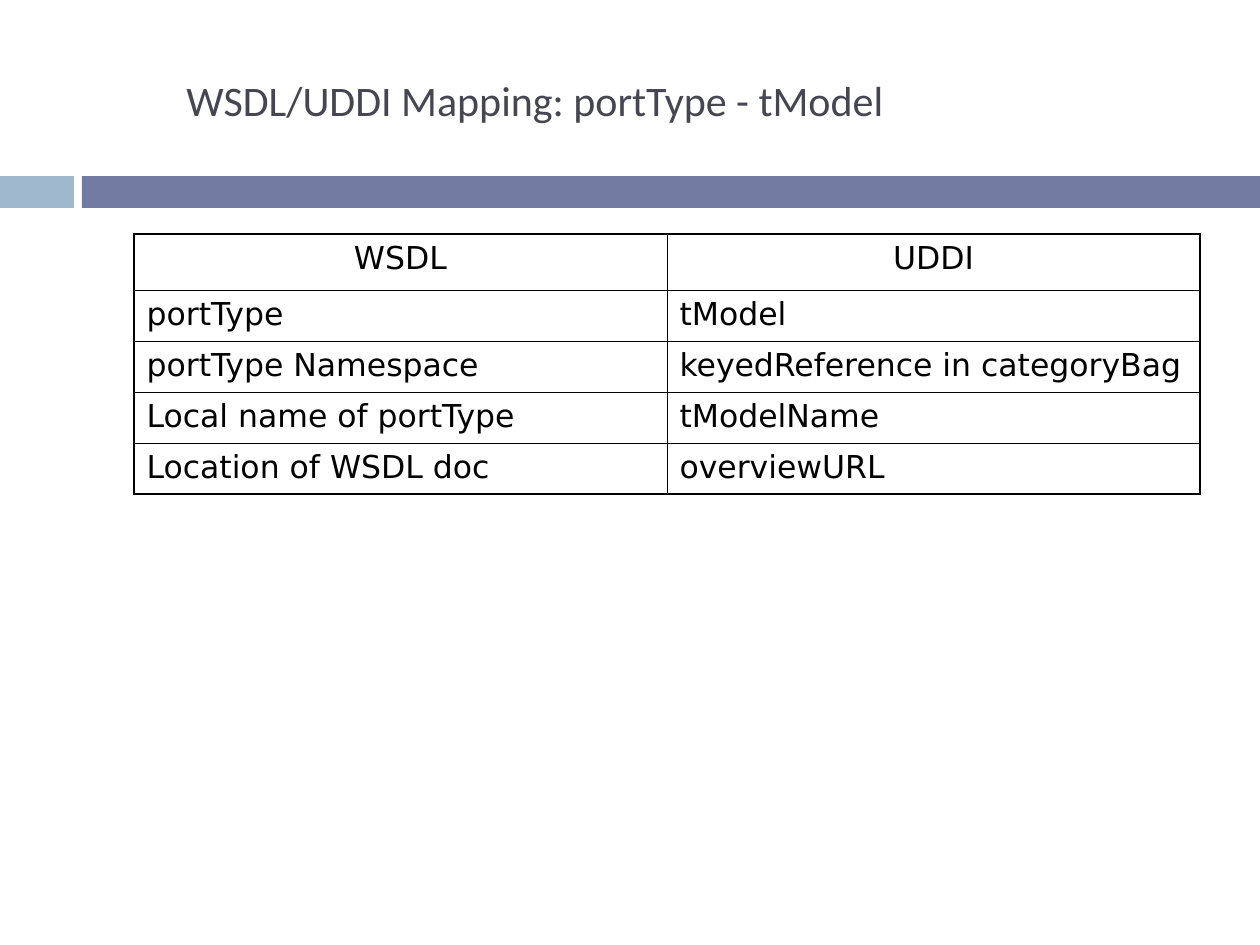
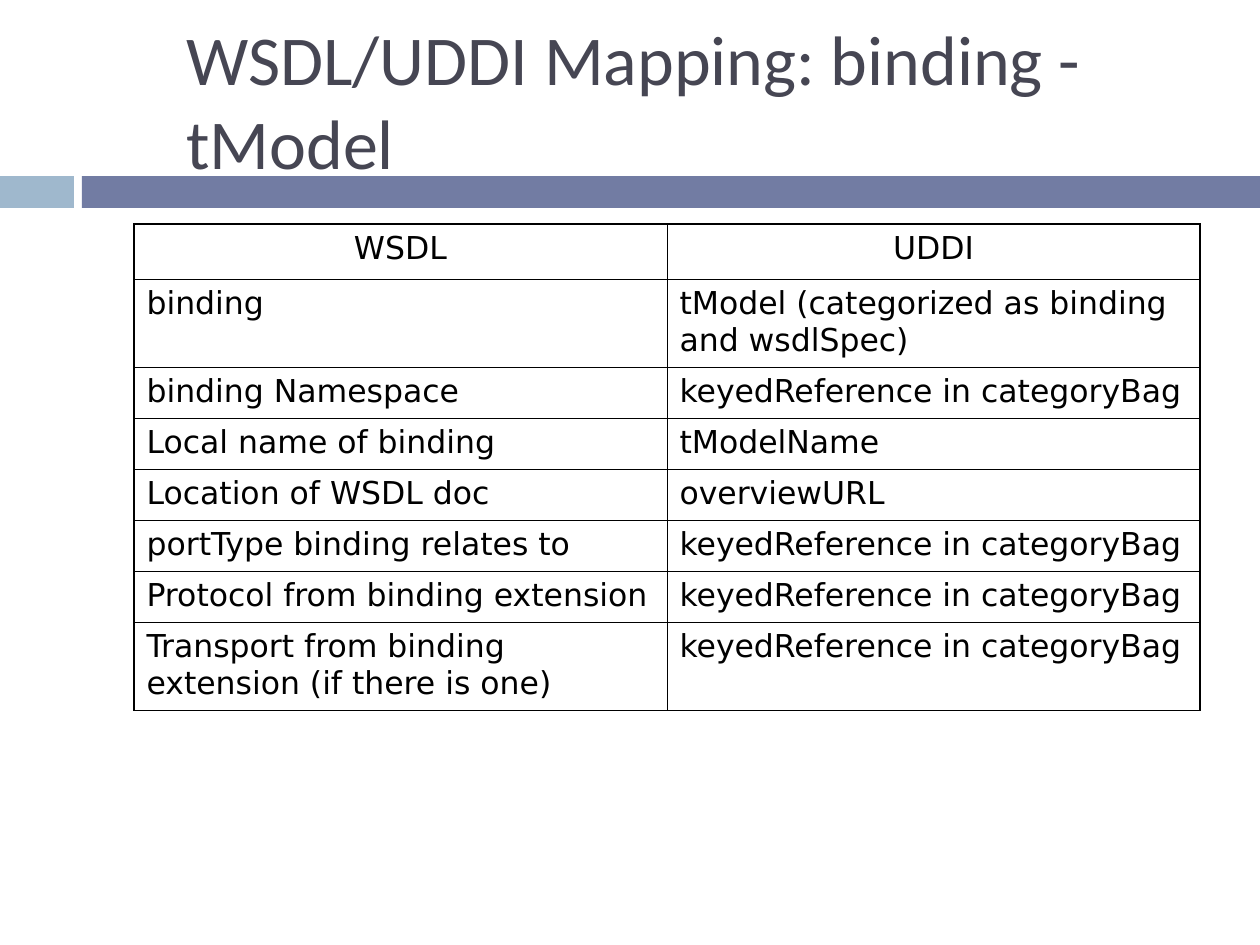
"""Build two slides that map WSDL parts to UDDI parts."""
from lxml import etree
from pptx import Presentation
from pptx.dml.color import RGBColor
from pptx.enum.shapes import MSO_SHAPE
from pptx.enum.text import MSO_ANCHOR, PP_ALIGN
from pptx.oxml.ns import qn
from pptx.util import Pt

RECT = MSO_SHAPE.RECTANGLE
MIDDLE = MSO_ANCHOR.MIDDLE
LEFT, CENTER = PP_ALIGN.LEFT, PP_ALIGN.CENTER

SKY = RGBColor(0x9F, 0xB8, 0xCD)
SLATE = RGBColor(0x72, 0x7C, 0xA3)
INK = RGBColor(0x46, 0x46, 0x53)
BLACK = RGBColor(0, 0, 0)

HEAD = ("WSDL", "UDDI")
KEYED = "keyedReference in categoryBag"
SLIDES = [
    {
        "title": "WSDL/UDDI Mapping: portType - tModel",
        "size": 24,
        "top": 234,
        "heights": [56] + [51] * 4,
        "rows": [
            HEAD,
            ("portType", "tModel"),
            ("portType Namespace", KEYED),
            ("Local name of portType", "tModelName"),
            ("Location of WSDL doc", "overviewURL"),
        ],
    },
    {
        "title": "WSDL/UDDI Mapping: binding - tModel",
        "size": 40,
        "top": 224,
        "heights": [55, 88] + [51] * 5 + [88],
        "rows": [
            HEAD,
            ("binding", "tModel (categorized as binding and wsdlSpec)"),
            ("binding Namespace", KEYED),
            ("Local name of binding", "tModelName"),
            ("Location of WSDL doc", "overviewURL"),
            ("portType binding relates to", KEYED),
            ("Protocol from binding extension", KEYED),
            ("Transport from binding extension (if there is one)", KEYED),
        ],
    },
]

WIDTH, HEIGHT = 1260, 945
BANDS = [(0, 74, SKY), (82, WIDTH - 82, SLATE)]
BAND_TOP, BAND_HIGH = 176, 32
TITLE_BOX = (174, 55, 1023, 90)
GRID_LEFT, GRID_WIDE = 134, 1066
THICK, THIN = 1.08, 0.45


def px(*sizes):
    return [round(size * 914400 / 126) for size in sizes]


def style(para, **form):
    for name, value in form.items():
        setattr(para.font, name, value)


def add_bands(slide):
    for left, wide, color in BANDS:
        band = slide.shapes.add_shape(RECT, *px(left, BAND_TOP, wide, BAND_HIGH))
        band.shadow.inherit = False
        band.fill.solid()
        band.fill.fore_color.rgb = color
        band.line.fill.background()


def add_title(slide, text, size):
    frame = slide.shapes.add_textbox(*px(*TITLE_BOX)).text_frame
    frame.word_wrap = True
    frame.vertical_anchor = MIDDLE
    para = frame.paragraphs[0]
    para.text = text
    style(para, name="Calibri", size=Pt(size))
    para.font.color.rgb = INK


def add_edges(cell, outer):
    props = cell._tc.get_or_add_tcPr()
    for spot, (side, thick) in enumerate(outer.items()):
        line = etree.Element(qn("a:ln" + side), w=str(Pt(THICK if thick else THIN)))
        fill = etree.SubElement(line, qn("a:solidFill"))
        etree.SubElement(fill, qn("a:srgbClr"), val=str(BLACK))
        props.insert(spot, line)


def add_grid(slide, top, heights, rows):
    count, span = len(rows), len(HEAD)
    box = px(GRID_LEFT, top, GRID_WIDE, sum(heights))
    table = slide.shapes.add_table(count, span, *box).table
    table.first_row = table.horz_banding = False
    for row, high in zip(table.rows, px(*heights)):
        row.height = high
    for i, texts in enumerate(rows):
        for j, text in enumerate(texts):
            cell = table.cell(i, j)
            cell.fill.background()
            para = cell.text_frame.paragraphs[0]
            para.text = text
            para.alignment = LEFT if i else CENTER
            para.space_before = Pt(4.5)
            style(para, name="DejaVu Sans", size=Pt(18), bold=False)
            para.font.color.rgb = BLACK
            add_edges(cell, {"L": j == 0, "R": j == span - 1,
                             "T": i == 0, "B": i == count - 1})


def main():
    deck = Presentation()
    deck.slide_width, deck.slide_height = px(WIDTH, HEIGHT)
    for page in SLIDES:
        slide = deck.slides.add_slide(deck.slide_layouts[6])
        add_bands(slide)
        add_title(slide, page["title"], page["size"])
        add_grid(slide, page["top"], page["heights"], page["rows"])
    deck.save("out.pptx")


if __name__ == "__main__":
    main()
